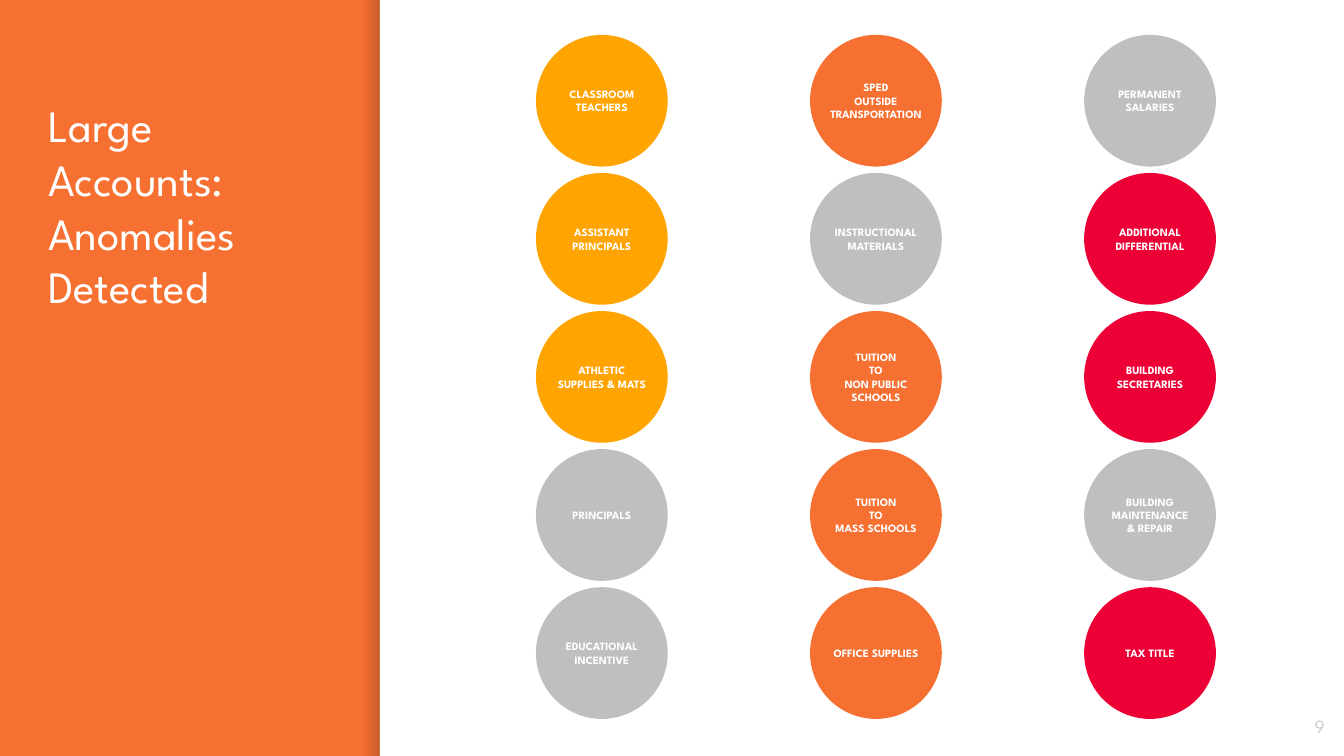
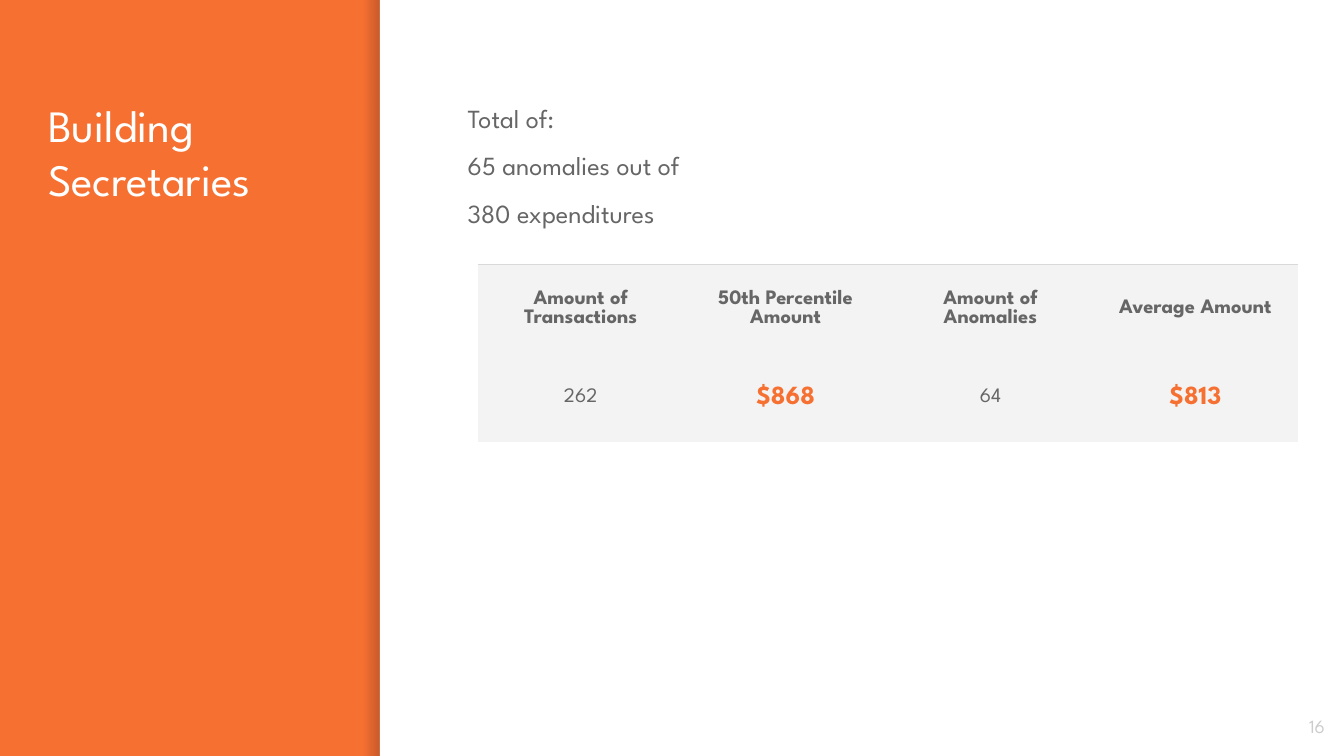
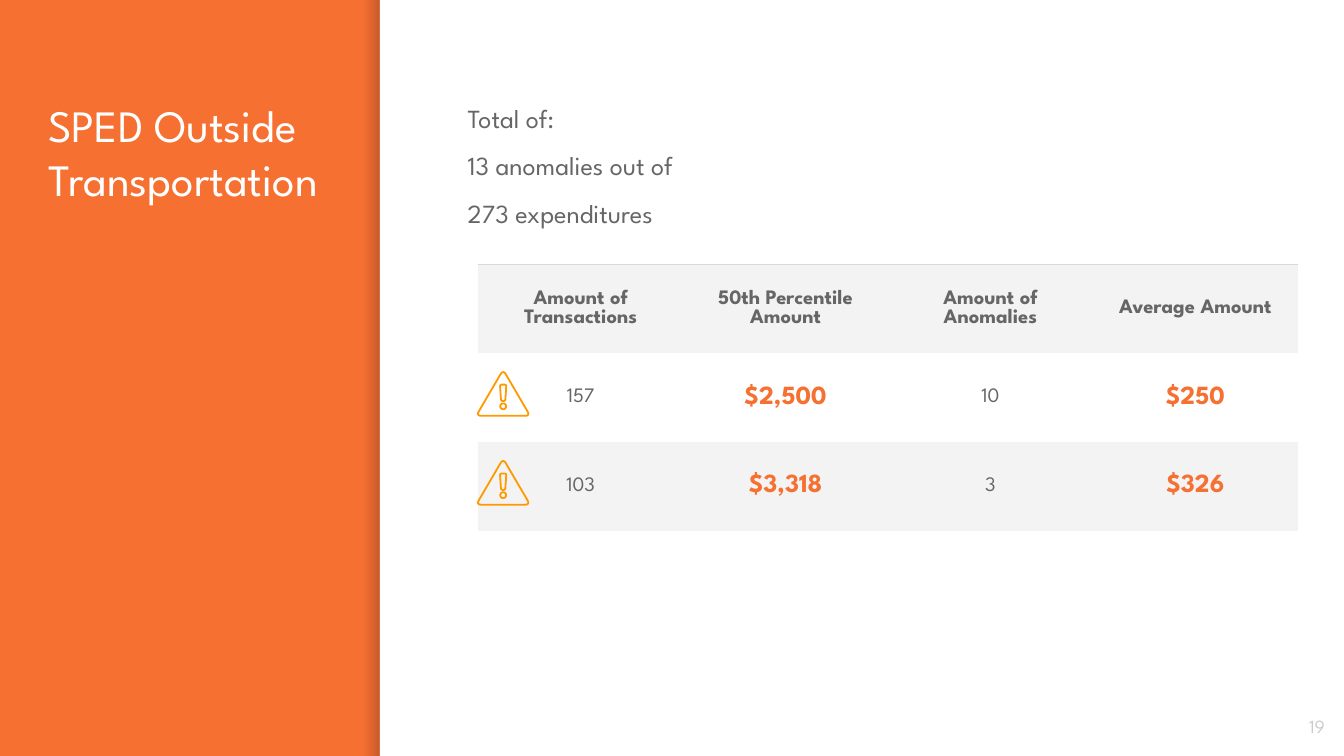
import math

import pptx
import pptx.dml.color
import pptx.enum.shapes
import pptx.enum.text
import pptx.oxml.ns
import pptx.util
from lxml import etree

Cm = pptx.util.Cm
Pt = pptx.util.Pt
qn = pptx.oxml.ns.qn
ALIGN = pptx.enum.text.PP_ALIGN
MIDDLE = pptx.enum.text.MSO_ANCHOR.MIDDLE
SHAPE = pptx.enum.shapes.MSO_SHAPE

FONT = "League Spartan"
ORANGE, AMBER, RED, GRAY = "F67031", "FFA400", "ED0036", "BFBFBF"
WHITE, TEXT, PALE, RULE = "FFFFFF", "666666", "F3F3F3", "D9D9D9"
PAGE_NO, WARNING, SHADE = "CCCCCC", "FF9900", "000014"

PAGE_W, PAGE_H = 25.4, 14.29
PANEL_X = 7.18
SHADE_W = 0.31
INSET = 0.25

HEADERS = ["Amount of Transactions", "50th Percentile Amount",
           "Amount of Anomalies", "Average Amount"]

ACCOUNT_COLUMNS = [
    [("CLASSROOM\nTEACHERS", AMBER), ("ASSISTANT\nPRINCIPALS", AMBER),
     ("ATHLETIC\nSUPPLIES & MATS", AMBER), ("PRINCIPALS", GRAY),
     ("EDUCATIONAL\nINCENTIVE", GRAY)],
    [("SPED\nOUTSIDE\nTRANSPORTATION", ORANGE),
     ("INSTRUCTIONAL\nMATERIALS", GRAY),
     ("TUITION\nTO\nNON PUBLIC\nSCHOOLS", ORANGE),
     ("TUITION\nTO\nMASS SCHOOLS", ORANGE), ("OFFICE SUPPLIES", ORANGE)],
    [("PERMANENT\nSALARIES", GRAY), ("ADDITIONAL\nDIFFERENTIAL", RED),
     ("BUILDING\nSECRETARIES", RED),
     ("BUILDING\nMAINTENANCE\n& REPAIR", GRAY), ("TAX TITLE", RED)],
]


def rgb(value):
    return pptx.dml.color.RGBColor.from_string(value)


def write(tf, lines, size, color, bold=False, align=ALIGN.LEFT,
          leading=1.2, before=0):
    """Fill a text frame, one paragraph per line; leading is in ems."""
    for i, line in enumerate(lines):
        p = tf.paragraphs[0] if i == 0 else tf.add_paragraph()
        p.text = line
        p.alignment = align
        p.line_spacing = Pt(round(size * leading, 1))
        p.space_before = Pt(before if i else 0)
        p.font.name = FONT
        p.font.size = Pt(size)
        p.font.bold = bold
        p.font.color.rgb = rgb(color)


def set_margins(tf, margin):
    tf.margin_left = tf.margin_right = Cm(margin)
    tf.margin_top = tf.margin_bottom = Cm(margin)


def add_text(slide, x, y, w, h, lines, size, color, anchor=None, **style):
    tf = slide.shapes.add_textbox(Cm(x), Cm(y), Cm(w), Cm(h)).text_frame
    tf.word_wrap = True
    tf.vertical_anchor = anchor
    set_margins(tf, INSET)
    write(tf, lines, size, color, **style)


def add_shape(slide, kind, x, y, w, h, fill=None):
    sp = slide.shapes.add_shape(kind, Cm(x), Cm(y), Cm(w), Cm(h))
    sp.shadow.inherit = False
    sp.line.fill.background()
    if fill:
        sp.fill.solid()
        sp.fill.fore_color.rgb = rgb(fill)
    return sp


def add_page(prs, title, number, title_w=5.69):
    slide = prs.slides.add_slide(prs.slide_layouts[6])
    slide.background.fill.solid()
    slide.background.fill.fore_color.rgb = rgb(ORANGE)

    # Soft shade at the edge of the white panel
    shade = add_shape(slide, SHAPE.RECTANGLE, PANEL_X - SHADE_W, 0,
                      SHADE_W, PAGE_H)
    shade.fill.gradient()
    shade.fill.gradient_angle = 0
    for stop in shade.fill.gradient_stops:
        stop.color.rgb = rgb(SHADE)
    colors = shade._element.spPr.iter(qn("a:srgbClr"))
    for clr, alpha in zip(list(colors), ("0", "20000")):
        etree.SubElement(clr, qn("a:alpha")).set("val", alpha)

    # White panel, title and page number
    add_shape(slide, SHAPE.RECTANGLE, PANEL_X, 0, PAGE_W - PANEL_X, PAGE_H,
              WHITE)
    add_text(slide, 0.66, 1.6, title_w, 11.05, [title], 24, WHITE)
    add_text(slide, 23.77, 13.18, 1.52, 1.09, [number], 10, PAGE_NO,
             anchor=MIDDLE, align=ALIGN.RIGHT)
    return slide


def add_account_grid(slide, x, y, pitch_x=5.18, pitch_y=2.61, size=2.49):
    for col, accounts in enumerate(ACCOUNT_COLUMNS):
        for row, (label, fill) in enumerate(accounts):
            sp = add_shape(slide, SHAPE.OVAL, x + col * pitch_x,
                           y + row * pitch_y, size, size, fill)
            tf = sp.text_frame
            tf.word_wrap = False
            tf.vertical_anchor = MIDDLE
            set_margins(tf, 0)
            write(tf, label.split("\n"), 6, WHITE, bold=True,
                  align=ALIGN.CENTER)


def set_borders(cell, top):
    """Draw only a thin top rule, or no border at all."""
    tcPr = cell._tc.get_or_add_tcPr()
    for side in ("L", "R", "T", "B"):
        ln = etree.SubElement(tcPr, qn("a:ln" + side))
        if side == "T" and top:
            ln.set("w", str(Pt(0.75)))
            fill = etree.SubElement(ln, qn("a:solidFill"))
            etree.SubElement(fill, qn("a:srgbClr")).set("val", RULE)
        else:
            etree.SubElement(ln, qn("a:noFill"))


def add_amount_table(slide, x, y, w, row_h, rows, shaded):
    rows = [HEADERS] + rows
    frame = slide.shapes.add_table(len(rows), len(HEADERS), Cm(x), Cm(y),
                                   Cm(w), Cm(row_h * len(rows)))
    table = frame.table
    table.first_row = table.horz_banding = False
    for column in table.columns:
        column.width = Cm(w / len(HEADERS))
    for r, values in enumerate(rows):
        table.rows[r].height = Cm(row_h)
        for c, value in enumerate(values):
            cell = table.cell(r, c)
            set_borders(cell, top=r == 0)
            if r in shaded:
                cell.fill.solid()
                cell.fill.fore_color.rgb = rgb(PALE)
            else:
                cell.fill.background()
            cell.vertical_anchor = MIDDLE
            cell.margin_left = cell.margin_right = Cm(0.25)
            cell.margin_top = cell.margin_bottom = Cm(0.18)
            money = value.startswith("$")
            write(cell.text_frame, [value], 14 if money else 11,
                  ORANGE if money else TEXT, bold=money or r == 0,
                  align=ALIGN.CENTER, leading=0.92)


def rounded(corners, cut, steps=6):
    """Points of a polygon whose corners are rounded off."""
    points = []
    for i, (vx, vy) in enumerate(corners):
        ends = []
        for nx, ny in (corners[i - 1], corners[(i + 1) % len(corners)]):
            t = cut / math.hypot(nx - vx, ny - vy)
            ends.append((vx + t * (nx - vx), vy + t * (ny - vy)))
        (ax, ay), (bx, by) = ends
        for k in range(steps + 1):
            t = k / steps
            a, v, b = (1 - t) ** 2, 2 * t * (1 - t), t ** 2
            points.append((a * ax + v * vx + b * bx,
                           a * ay + v * vy + b * by))
    return points


def add_warning(slide, x, y):
    # Outlines in thousandths of a centimetre: triangle, stroke, dot
    turns = [2 * math.pi * k / 24 for k in range(24)]
    contours = [
        rounded([(470, -30), (980, 840), (-40, 840)], 100),
        rounded([(410, 250), (530, 250), (510, 560), (430, 560)], 35),
        [(470 + 55 * math.cos(a), 660 + 55 * math.sin(a)) for a in turns],
    ]
    builder = slide.shapes.build_freeform(*contours[0][0],
                                          scale=Cm(0.001))
    for i, points in enumerate(contours):
        if i:
            builder.move_to(*points[0])
        builder.add_line_segments(points[1:], close=True)
    sp = builder.convert_to_shape(Cm(x), Cm(y))
    sp.shadow.inherit = False
    sp.fill.background()
    sp.line.color.rgb = rgb(WARNING)
    sp.line.width = Pt(0.96)


def add_account_page(prs, title, number, summary, rows, shaded,
                     warn=False, title_w=5.69):
    slide = add_page(prs, title, number, title_w)
    x, y, row_h = 9.04, 5.0, 1.68
    add_amount_table(slide, x, y, 15.49, row_h, rows, shaded)
    add_text(slide, 8.59, 1.6, 15.54, 2.95, summary, 14, TEXT,
             leading=1.38, before=6)
    if warn:
        for r in range(1, len(rows) + 1):
            add_warning(slide, x, y + r * row_h + 0.34)


def main():
    prs = pptx.Presentation()
    prs.slide_width, prs.slide_height = Cm(PAGE_W), Cm(PAGE_H)

    slide = add_page(prs, "Large Accounts: Anomalies Detected", "9")
    add_account_grid(slide, 10.13, 0.66)

    add_account_page(
        prs, "Building Secretaries", "16",
        ["Total of:", "65 anomalies out of", "380 expenditures"],
        [["262", "$868", "64", "$813"]], shaded=(0, 1))

    add_account_page(
        prs, "SPED Outside Transportation", "19",
        ["Total of:", "13 anomalies out of", "273 expenditures"],
        [["157", "$2,500", "10", "$250"], ["103", "$3,318", "3", "$326"]],
        shaded=(0, 2), warn=True, title_w=6.17)

    prs.save("out.pptx")


if __name__ == "__main__":
    main()
